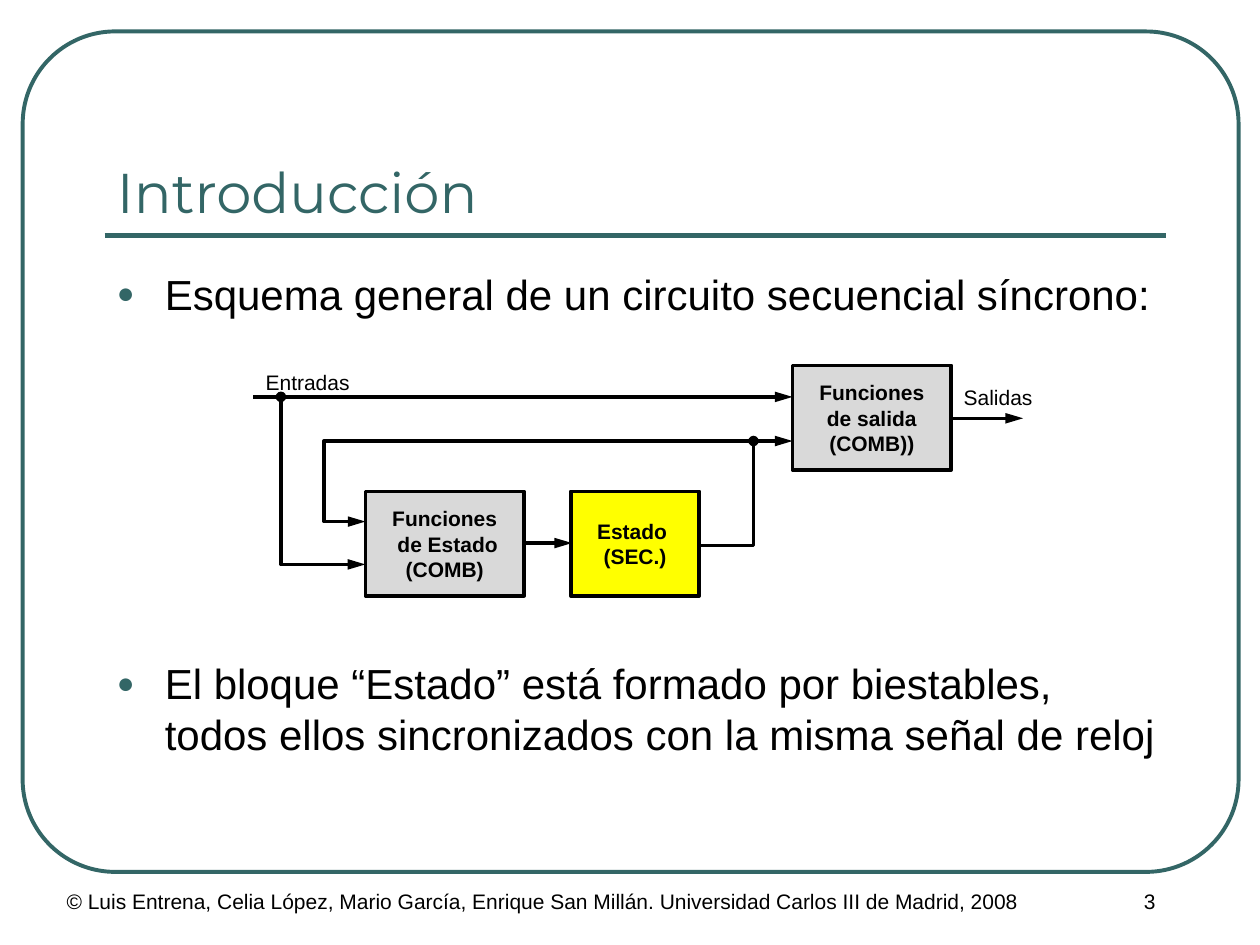
"""Build the slide on the general scheme of a synchronous sequential circuit."""
import copy
from dataclasses import dataclass
from typing import Optional

import lxml.etree
import pptx
import pptx.dml.color
import pptx.enum.shapes
import pptx.enum.text
import pptx.oxml.ns
import pptx.util

COLUMNS, ROWS = 100, 75
CELL = pptx.util.Inches(0.1)
TEAL = pptx.dml.color.RGBColor(0x33, 0x66, 0x66)
BLACK = pptx.dml.color.RGBColor(0, 0, 0)
GREY = pptx.dml.color.RGBColor(0xD9, 0xD9, 0xD9)
YELLOW = pptx.dml.color.RGBColor(0xFF, 0xFF, 0)
SHAPES = pptx.enum.shapes.MSO_SHAPE
ALIGN = pptx.enum.text.PP_ALIGN
ANCHOR = pptx.enum.text.MSO_ANCHOR
FIT = pptx.enum.text.MSO_AUTO_SIZE
qn = pptx.oxml.ns.qn

SMALL = {"name": "Arial", "size": pptx.util.Pt(12), "bold": False}
BOLD = {**SMALL, "bold": True}
BODY = {**SMALL, "size": pptx.util.Pt(24)}
HEADING = {"name": "Montserrat", "size": pptx.util.Pt(32), "bold": False}
BLOCK_HEIGHT = 8.3


@dataclass(frozen=True)
class Area:
    """A rectangle in grid columns and rows."""
    column: float
    row: float
    width: float
    height: float

    def lengths(self) -> list:
        """Return left, top, width and height as lengths."""
        return [grid(value) for value in (self.column, self.row, self.width, self.height)]


@dataclass(frozen=True)
class Label:
    """A text box and its format."""
    text: str
    area: Area
    style: dict
    colour: pptx.dml.color.RGBColor = BLACK
    align: ALIGN = ALIGN.LEFT
    anchor: ANCHOR = ANCHOR.TOP
    wrap: bool = True
    bullet: bool = False


@dataclass(frozen=True)
class Block:
    """A box of the circuit."""
    text: str
    column: float
    row: float
    width: float
    fill: pptx.dml.color.RGBColor


@dataclass(frozen=True)
class Wire:
    """A path through grid points that ends in an arrowhead."""
    points: tuple
    head: Optional[str] = None


LABELS = (
    Label("© Luis Entrena, Celia López, Mario García, Enrique San Millán. "
          "Universidad Carlos III de Madrid, 2008", Area(4.3, 70, 85, 5), SMALL),
    Label("3", Area(82.5, 70, 17.5, 5), SMALL, align=ALIGN.CENTER),
    Label("Introducción", Area(8.3, 5.8, 84.2, 12.5), HEADING, TEAL, anchor=ANCHOR.BOTTOM),
    Label("Esquema general de un circuito secuencial síncrono:",
          Area(8.3, 20.8, 84, 6.8), BODY, bullet=True),
    Label("El bloque “Estado” está formado por biestables, todos ellos sincronizados "
          "con la misma señal de reloj", Area(8.3, 51.7, 84.6, 13.5), BODY, bullet=True),
    Label("Entradas", Area(20.1, 28.8, 8.8, 3), SMALL, wrap=False),
    Label("Salidas", Area(75.5, 30, 7.6, 3), SMALL, wrap=False),
)
BLOCKS = (
    Block("Estado \n(SEC.)", 45.3, 39, 10.2, YELLOW),
    Block("Funciones\n de Estado\n(COMB)", 29, 39, 12.6, GREY),
    Block("Funciones\nde salida\n(COMB))", 62.9, 29, 12.6, GREY),
)
WIRES = (
    Wire(((41.6, 43.1), (45.4, 43.1))),
    Wire(((55.5, 43.3), (59.8, 43.3), (59.8, 35), (25.7, 35), (25.7, 41.4), (29, 41.4))),
    Wire(((20.1, 31.5), (62.9, 31.5))),
    Wire(((22.3, 31.5), (22.3, 44.8), (29, 44.8)), "oval"),
    Wire(((59.8, 35), (62.9, 35)), "oval"),
    Wire(((75.5, 33.2), (81.2, 33.2))),
)


def grid(cells: float) -> pptx.util.Emu:
    """Turn grid cells into a length."""
    return pptx.util.Emu(round(cells * CELL))


def set_line(shape, colour, points: float) -> None:
    """Give a shape or connector a plain outline."""
    shape.line.fill.solid()
    shape.line.fill.fore_color.rgb = colour
    shape.line.width = pptx.util.Pt(points)


def write(frame, text: str, style: dict, colour, align) -> None:
    """Write one formatted paragraph, line breaks included."""
    para = frame.paragraphs[0]
    para.text = text
    para.alignment = align
    for span in para.runs:
        for name, value in style.items():
            setattr(span.font, name, value)
        span.font.color.rgb = colour
    for line_break in para._p.findall(qn("a:br")):
        line_break.insert(0, copy.deepcopy(para.runs[0]._r.rPr))


def add_bullet(para) -> None:
    """Give a paragraph a hanging teal bullet."""
    properties = para._p.get_or_add_pPr()
    indent = pptx.util.Inches(0.38)
    properties.set("marL", str(indent))
    properties.set("indent", str(-indent))
    colour = lxml.etree.SubElement(properties, qn("a:buClr"))
    lxml.etree.SubElement(colour, qn("a:srgbClr"), val=str(TEAL))
    lxml.etree.SubElement(properties, qn("a:buSzPct"), val="70000")
    lxml.etree.SubElement(properties, qn("a:buFont"), typeface="Arial")
    lxml.etree.SubElement(properties, qn("a:buChar"), char="●")


def draw_label(page, label: Label) -> None:
    """Draw a text box, grown to its text where it does not wrap."""
    frame = page.shapes.add_textbox(*label.area.lengths()).text_frame
    frame.word_wrap = label.wrap
    frame.auto_size = FIT.NONE if label.wrap else FIT.SHAPE_TO_FIT_TEXT
    frame.vertical_anchor = label.anchor
    if label.bullet:
        add_bullet(frame.paragraphs[0])
    write(frame, label.text, label.style, label.colour, label.align)


def draw_block(page, block: Block) -> None:
    """Draw a circuit block with its name."""
    area = Area(block.column, block.row, block.width, BLOCK_HEIGHT)
    box = page.shapes.add_shape(SHAPES.RECTANGLE, *area.lengths())
    box.shadow.inherit = False
    box.fill.solid()
    box.fill.fore_color.rgb = block.fill
    set_line(box, BLACK, 2)
    box.text_frame.word_wrap = False
    box.text_frame.vertical_anchor = ANCHOR.MIDDLE
    write(box.text_frame, block.text, BOLD, BLACK, ALIGN.CENTER)


def draw_straight(page, start: tuple, end: tuple, colour, points: float):
    """Draw a straight connector without a shadow."""
    line = page.shapes.add_connector(
        pptx.enum.shapes.MSO_CONNECTOR.STRAIGHT, *map(grid, start + end))
    set_line(line, colour, points)
    lxml.etree.SubElement(line._element.spPr, qn("a:effectLst"))
    return line


def draw_wire(page, wire: Wire) -> None:
    """Draw a wire, bent where it has more than two points."""
    if len(wire.points) == 2:
        line = draw_straight(page, *wire.points, BLACK, 2)
    else:
        start, *rest = [tuple(map(grid, point)) for point in wire.points]
        builder = page.shapes.build_freeform(*start)
        builder.add_line_segments(rest, close=False)
        line = builder.convert_to_shape()
        line.shadow.inherit = False
        line.fill.background()
        set_line(line, BLACK, 2)
    outline = line.line._get_or_add_ln()
    if wire.head:
        lxml.etree.SubElement(outline, qn("a:headEnd"), type=wire.head)
    lxml.etree.SubElement(outline, qn("a:tailEnd"), type="triangle", w="med", len="lg")


def main() -> None:
    """Build and save the deck."""
    deck = pptx.Presentation()
    deck.slide_width, deck.slide_height = grid(COLUMNS), grid(ROWS)
    page = deck.slides.add_slide(deck.slide_layouts[6])
    border = page.shapes.add_shape(
        SHAPES.ROUNDED_RECTANGLE, *Area(1.8, 2.5, 96.5, 66.7).lengths())
    border.adjustments[0] = 0.11
    border.shadow.inherit = False
    border.fill.background()
    set_line(border, TEAL, 2.25)
    draw_straight(page, (8.3, 18.7), (92.5, 18.7), TEAL, 3)
    for draw, items in ((draw_block, BLOCKS), (draw_wire, WIRES), (draw_label, LABELS)):
        for item in items:
            draw(page, item)
    deck.save("out.pptx")


if __name__ == "__main__":
    main()
